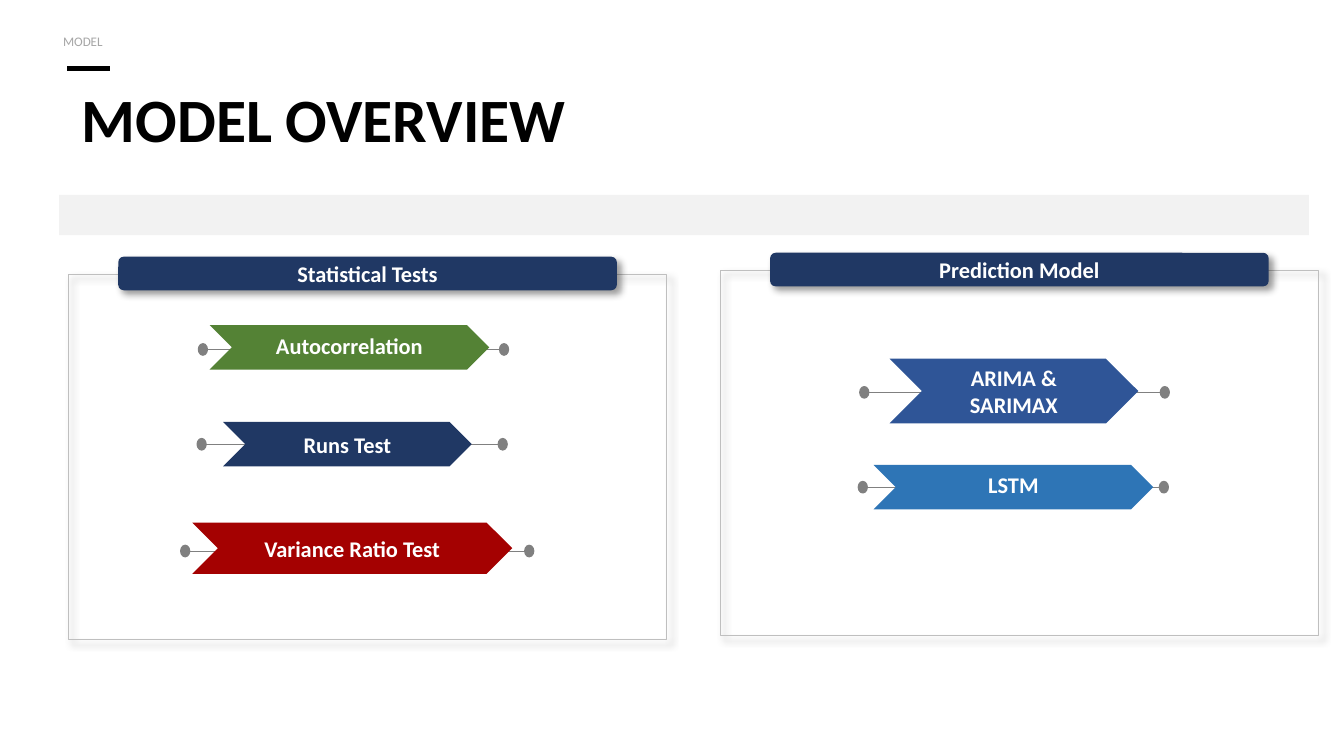
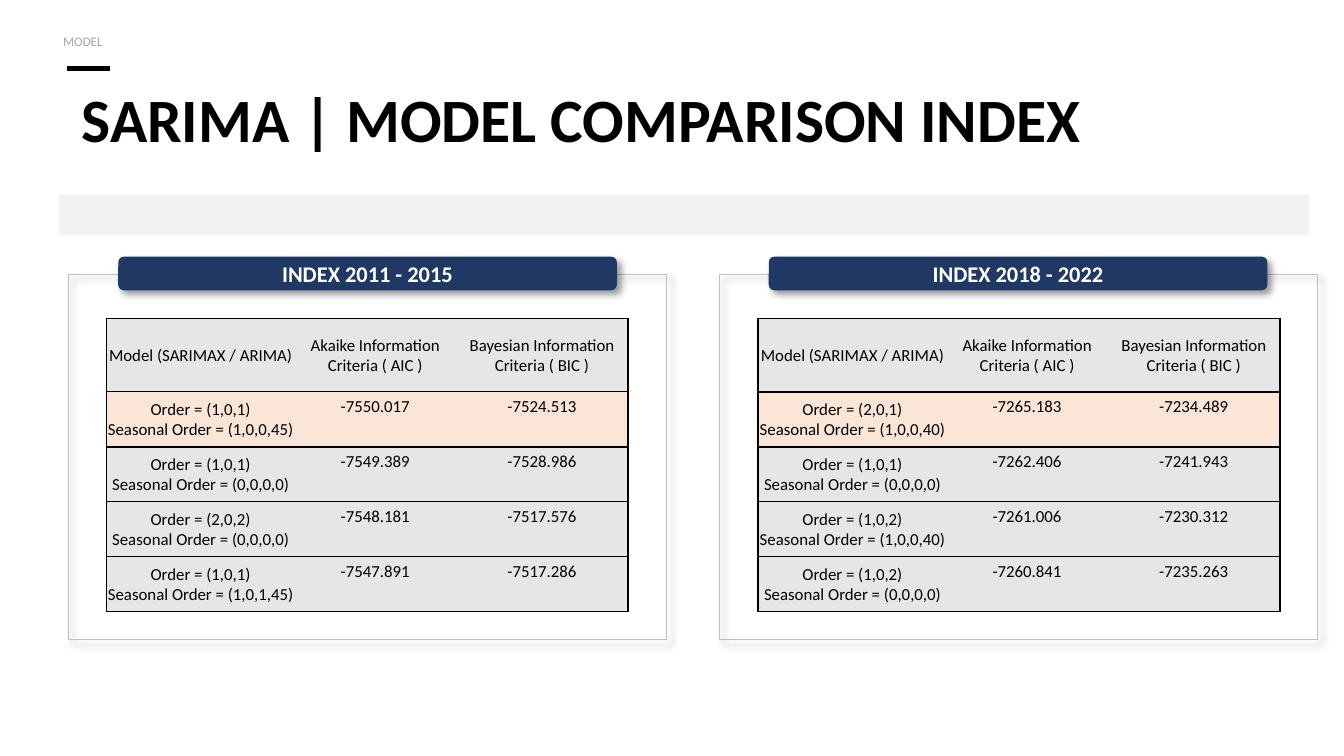
from lxml.etree import SubElement
from pptx import Presentation
from pptx.dml.color import RGBColor
from pptx.enum.shapes import MSO_CONNECTOR, MSO_SHAPE
from pptx.enum.text import MSO_ANCHOR, PP_ALIGN
from pptx.oxml.ns import qn
from pptx.util import Pt

FONT = "Calibri"
COLORS = {
    "black": "000000",
    "white": "FFFFFF",
    "label": "A6A6A6",
    "band": "F2F2F2",
    "frame": "BFBFBF",
    "track": "808080",
    "navy": "203864",
    "green": "548235",
    "red": "A40101",
    "blue": "2F5597",
    "sky": "2E75B6",
    "cell": "E7E6E6",
    "best": "FBE5D6",
}
PANEL_WIDTH, PANEL_HEIGHT = 320.4, 195.8
TAB_WIDTH, TAB_HEIGHT, TAB_RISE = 267.1, 18, 9.4
DOT_WIDTH, DOT_HEIGHT = 4.5, 5.8
LEFT_PANEL, RIGHT_PANEL, PANEL_TOP = 36.7, 385.2, 146.9
TABLE_TOP, TABLE_HEIGHT = 170.6, 157
COLUMN_WIDTHS = (100.8, 86.4, 92.2)
HEADER_HEIGHT, ROW_HEIGHT = 39.4, 29.4
HEADINGS = (
    "Model (SARIMAX / ARIMA)",
    "Akaike Information Criteria ( AIC )",
    "Bayesian Information Criteria ( BIC )",
)

# track start, track end, track height, arrow box, colour, text, line spacing
ARROWS = (
    (108.7, 270, 187.2, (112.3, 174.2, 149.8, 23.8), "green", "Autocorrelation", 12),
    (108, 269.3, 238, (119.5, 226.1, 133.2, 23.8), "navy", "Runs Test", None),
    (99.2, 283.5, 295.2, (103, 280, 171.4, 27.4), "red", "Variance Ratio Test", None),
    (463, 624, 210.2, (476.6, 192.2, 133.2, 34.6), "blue", "ARIMA & SARIMAX", None),
    (462.2, 623.5, 261, (468, 249.1, 149.8, 23.8), "sky", "LSTM", 12),
)

# order, seasonal order, AIC, BIC
SCORES_2011 = (
    ("(1,0,1)", "(1,0,0,45)", "-7550.017", "-7524.513"),
    ("(1,0,1)", "(0,0,0,0)", "-7549.389", "-7528.986"),
    ("(2,0,2)", "(0,0,0,0)", "-7548.181", "-7517.576"),
    ("(1,0,1)", "(1,0,1,45)", "-7547.891", "-7517.286"),
)
SCORES_2018 = (
    ("(2,0,1)", "(1,0,0,40)", "-7265.183", "-7234.489"),
    ("(1,0,1)", "(0,0,0,0)", "-7262.406", "-7241.943"),
    ("(1,0,2)", "(1,0,0,40)", "-7261.006", "-7230.312"),
    ("(1,0,2)", "(0,0,0,0)", "-7260.841", "-7235.263"),
)


def rgb(name):
    return RGBColor.from_string(COLORS[name])


def points(*lengths):
    return [Pt(length) for length in lengths]


def add_shadow(shape):
    effects = shape.element.spPr.find(qn("a:effectLst"))
    shadow = SubElement(effects, qn("a:outerShdw"), blurRad=str(Pt(4)), dist=str(Pt(3)),
                        dir="2700000", algn="tl", rotWithShape="0")
    color = SubElement(shadow, qn("a:srgbClr"), val=COLORS["black"])
    SubElement(color, qn("a:alpha"), val="40000")


def set_borders(cell, widths):
    """Draw the sides named in widths (L, R, T, B) and clear the others."""
    properties = cell._tc.get_or_add_tcPr()
    for side in "LRTB":
        width = widths.get(side, 0)
        line = SubElement(properties, qn(f"a:ln{side}"), w=str(Pt(width)))
        if width:
            fill = SubElement(line, qn("a:solidFill"))
            SubElement(fill, qn("a:srgbClr"), val=COLORS["black"])
        else:
            SubElement(line, qn("a:noFill"))


class Slides:
    def __init__(self):
        self.deck = Presentation()
        self.deck.slide_width, self.deck.slide_height = points(720, 405)
        self.page = None

    def start(self, title):
        """Begin a slide with its section label, rule, title and grey band."""
        self.page = self.deck.slides.add_slide(self.deck.slide_layouts[6])
        shapes = self.page.shapes
        self.line(shapes, 36, 59, 36.7, "black", 2.25)
        self.text((36.7, 49.7, 663.8, 36), title, 33, "black", 30, bold=True)
        self.shape(shapes, MSO_SHAPE.RECTANGLE, (31.7, 104.4, 669.6, 21.6), fill="band")
        label = self.text((30.2, 13, 325.4, 16.6), "MODEL", 7, "label", 10)
        label.margin_left = label.margin_right = Pt(3.6)

    def set_text(self, frame, text, size, color, spacing=None, bold=False, align=None):
        frame.text = text
        for para in frame.paragraphs:
            para.alignment = align
            if spacing:
                para.line_spacing = Pt(spacing)
            para.font.name = FONT
            para.font.size = Pt(size)
            para.font.bold = bold
            para.font.color.rgb = rgb(color)

    def text(self, place, text, size, color, spacing, bold=False):
        frame = self.page.shapes.add_textbox(*points(*place)).text_frame
        frame.word_wrap = True
        self.set_text(frame, text, size, color, spacing, bold)
        return frame

    def line(self, shapes, start, end, top, color, width):
        line = shapes.add_connector(MSO_CONNECTOR.STRAIGHT, *points(start, top, end, top))
        line.line.color.rgb = rgb(color)
        line.line.width = Pt(width)
        SubElement(line.element.spPr, qn("a:effectLst"))

    def shape(self, shapes, kind, place, fill=None, line=None, width=0.5):
        shape = shapes.add_shape(kind, *points(*place))
        shape.shadow.inherit = False
        if fill:
            shape.fill.solid()
            shape.fill.fore_color.rgb = rgb(fill)
        else:
            shape.fill.background()
        if line:
            shape.line.color.rgb = rgb(line)
            shape.line.width = Pt(width)
        else:
            shape.line.fill.background()
        return shape

    def caption(self, shape, text, spacing=None):
        frame = shape.text_frame
        frame.word_wrap = True
        frame.vertical_anchor = MSO_ANCHOR.MIDDLE
        self.set_text(frame, text, 12, "white", spacing, True, PP_ALIGN.CENTER)

    def panel(self, left, top, heading):
        shapes = self.page.shapes.add_group_shape().shapes
        frame = self.shape(shapes, MSO_SHAPE.RECTANGLE,
                           (left, top, PANEL_WIDTH, PANEL_HEIGHT), line="frame")
        tab_left = left + (PANEL_WIDTH - TAB_WIDTH) / 2
        tab = self.shape(shapes, MSO_SHAPE.ROUNDED_RECTANGLE,
                         (tab_left, top - TAB_RISE, TAB_WIDTH, TAB_HEIGHT), fill="navy")
        add_shadow(frame)
        add_shadow(tab)
        self.caption(tab, heading)

    def arrow(self, start, end, middle, place, color, text, spacing):
        """Place a chevron over a track with a dot at each end."""
        track = self.page.shapes.add_group_shape().shapes
        self.line(track, start, end, middle, "track", 0.5)
        for center in (start, end):
            dot = (center - DOT_WIDTH / 2, middle - DOT_HEIGHT / 2, DOT_WIDTH, DOT_HEIGHT)
            self.shape(track, MSO_SHAPE.OVAL, dot, "track", "track", 1)
        chevron = self.shape(self.page.shapes, MSO_SHAPE.CHEVRON, place, fill=color)
        self.caption(chevron, text, spacing)

    def table(self, left, scores, header_rule):
        """Add a score table; the row below the header is the best model."""
        rows = [HEADINGS]
        for order, seasonal, aic, bic in scores:
            rows.append((f"Order = {order}\nSeasonal Order = {seasonal}", aic, bic))
        place = points(left, TABLE_TOP, sum(COLUMN_WIDTHS), TABLE_HEIGHT)
        table = self.page.shapes.add_table(len(rows), len(HEADINGS), *place).table
        for column, width in zip(table.columns, COLUMN_WIDTHS):
            column.width = Pt(width)
        for i, texts in enumerate(rows):
            table.rows[i].height = Pt(ROW_HEIGHT if i else HEADER_HEIGHT)
            for j, text in enumerate(texts):
                cell = table.cell(i, j)
                borders = {"T": header_rule if i == 1 else 1,
                           "B": header_rule if i == 0 else 1}
                if j == 0:
                    borders["L"] = 1
                if j == len(texts) - 1:
                    borders["R"] = 1
                set_borders(cell, borders)
                cell.fill.solid()
                cell.fill.fore_color.rgb = rgb("best" if i == 1 else "cell")
                is_score = i > 0 and j > 0
                cell.vertical_anchor = MSO_ANCHOR.TOP if is_score else MSO_ANCHOR.MIDDLE
                cell.margin_left = cell.margin_right = Pt(5 if is_score else 0.6)
                cell.margin_top = Pt(2.7 if is_score else 0.6)
                cell.margin_bottom = Pt(2.7 if is_score else 0)
                self.set_text(cell.text_frame, text, 9, "black", align=PP_ALIGN.CENTER)


def main():
    slides = Slides()

    slides.start("MODEL OVERVIEW")
    slides.panel(LEFT_PANEL, PANEL_TOP, "Statistical Tests")
    slides.panel(385.9, 144.8, "Prediction Model")
    for arrow in ARROWS:
        slides.arrow(*arrow)

    slides.start("SARIMA | MODEL COMPARISON INDEX")
    slides.panel(LEFT_PANEL, PANEL_TOP, "INDEX 2011 - 2015")
    slides.panel(RIGHT_PANEL, PANEL_TOP, "INDEX 2018 - 2022")
    slides.table(57, SCORES_2011, header_rule=0.5)
    slides.table(406.2, SCORES_2018, header_rule=1)

    slides.deck.save("out.pptx")


if __name__ == "__main__":
    main()
